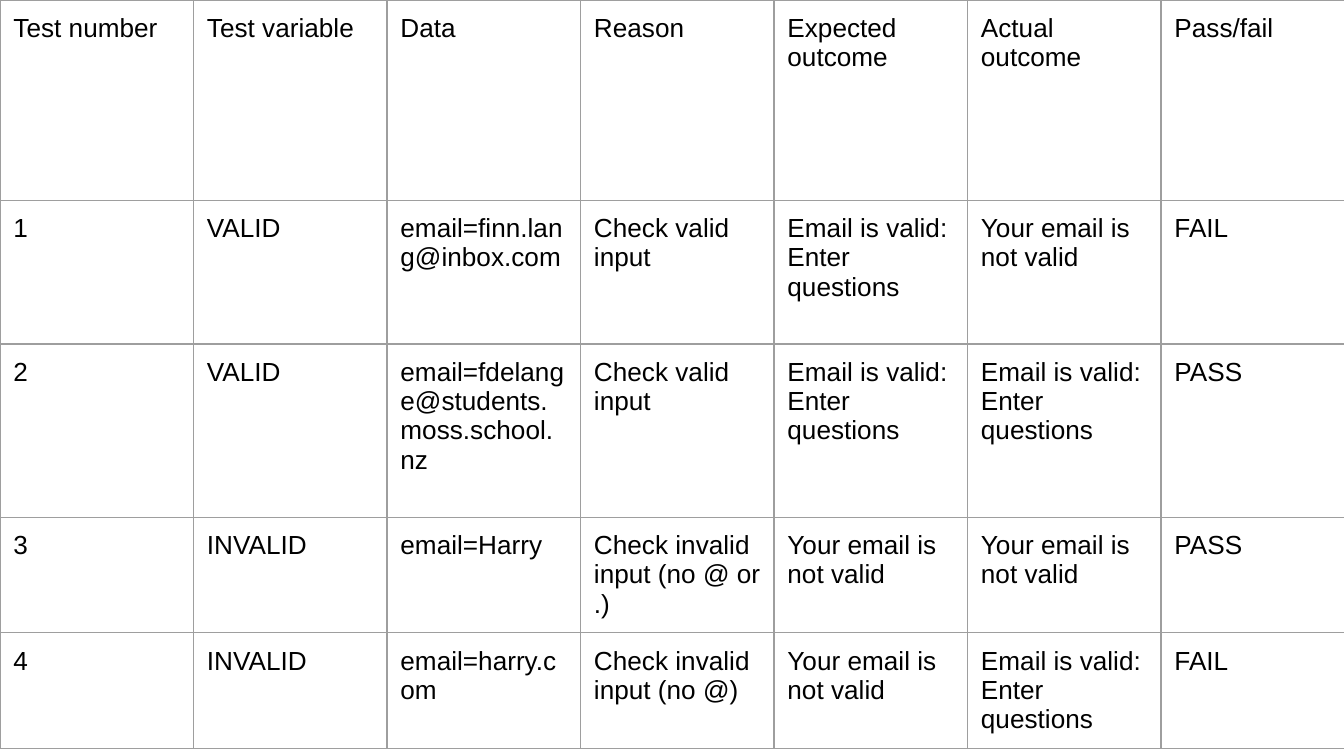
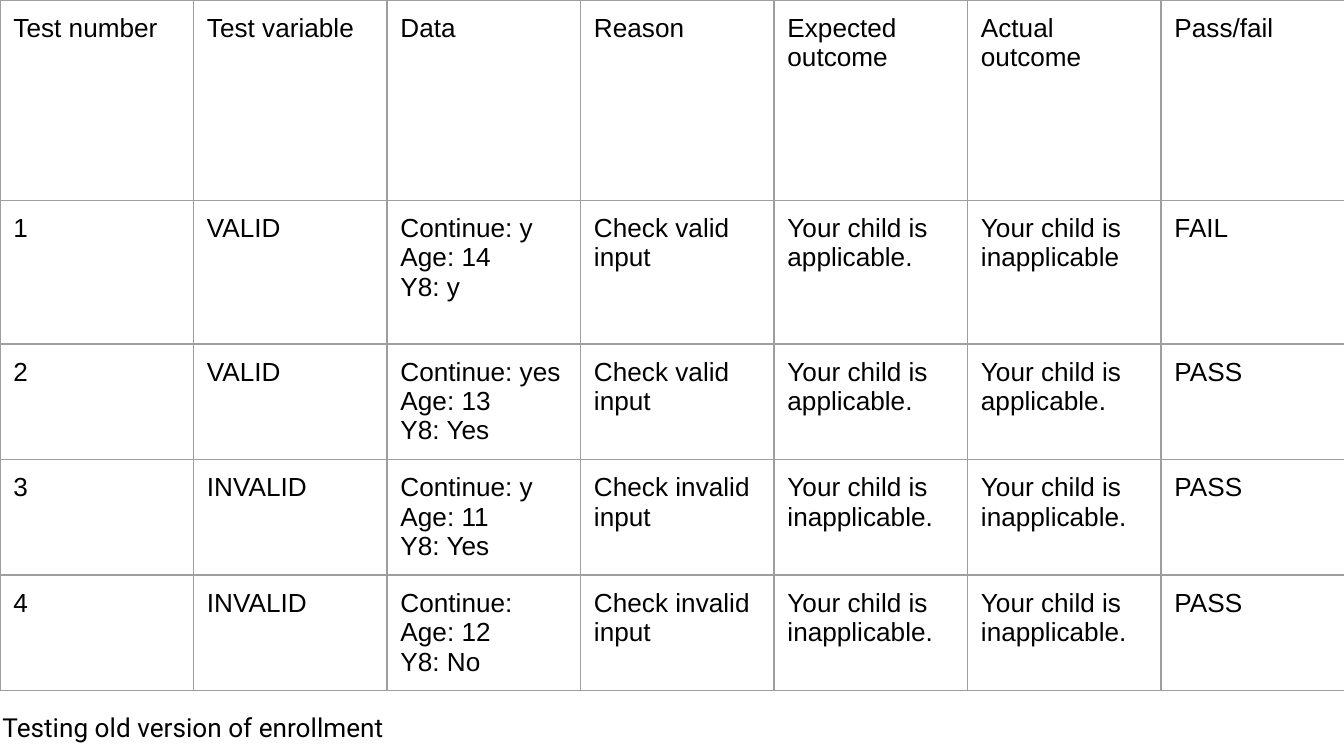
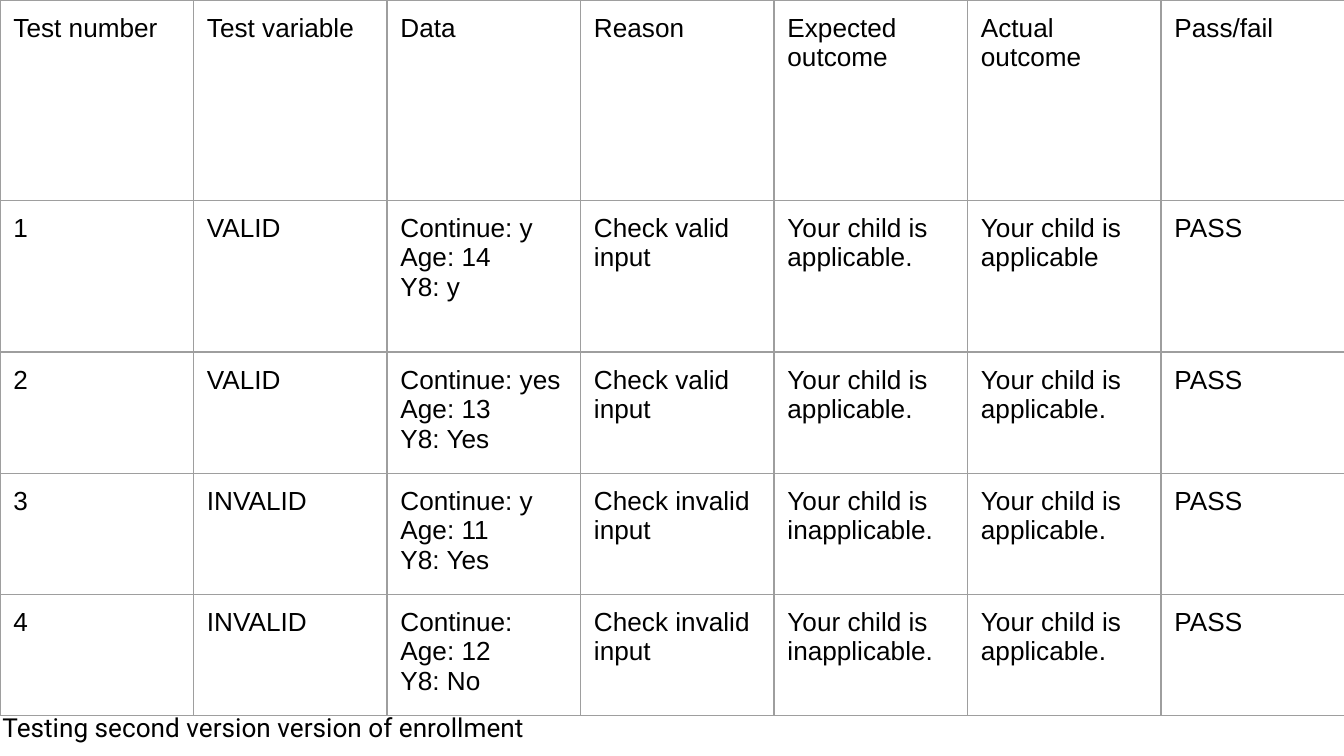
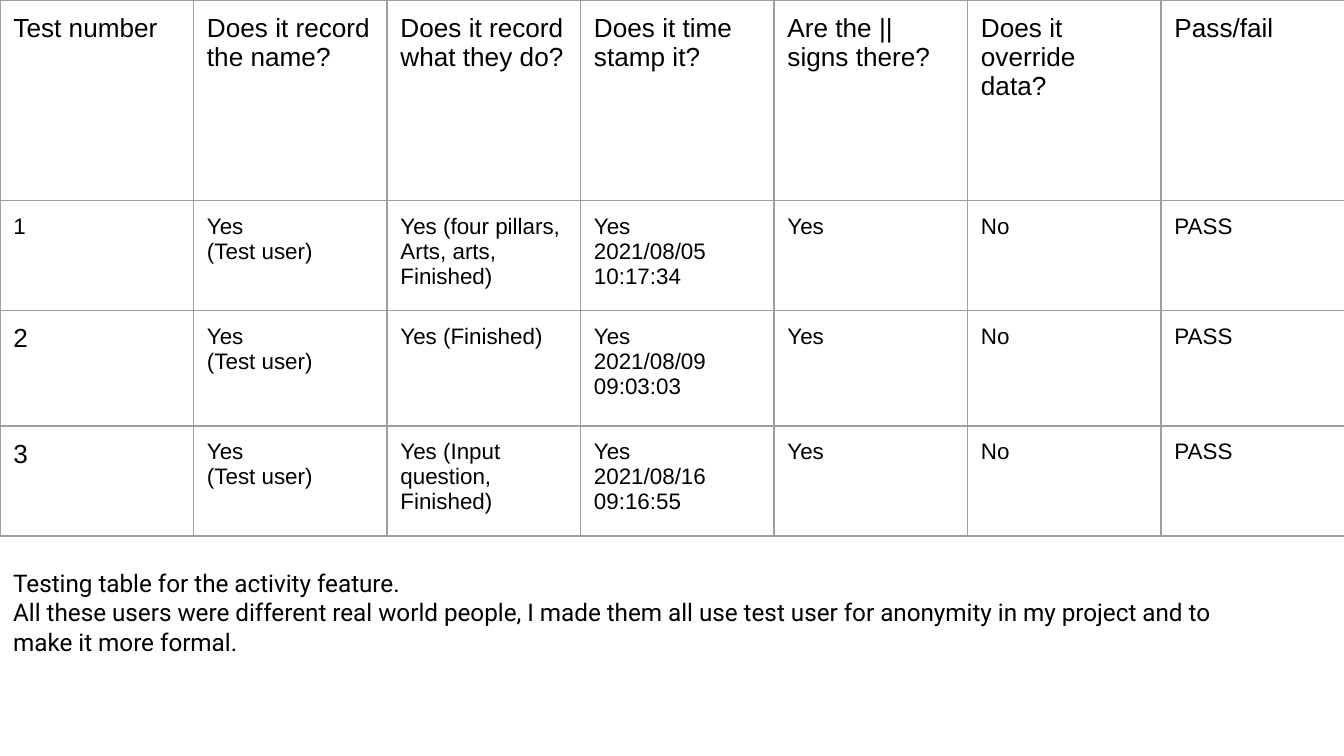
from lxml.etree import SubElement
from pptx import Presentation
from pptx.dml.color import RGBColor
from pptx.enum.text import MSO_AUTO_SIZE as AutoSize
from pptx.oxml.ns import qn
from pptx.util import Inches, Pt

INK, GRID = "000000", "9E9E9E"
TABLE_FONT, NOTE_FONT = "Arial", "Roboto"
COLUMN_WIDTH, HEADER_HEIGHT, INSET = 1.44, 1.49, 0.1

TEST_HEADER = ["Test number", "Test variable", "Data", "Reason",
               "Expected outcome", "Actual outcome", "Pass/fail"]
ACTIVITY_HEADER = ["Test number", "Does it record the name?",
                   "Does it record what they do?", "Does it time stamp it?",
                   "Are the || signs there?", "Does it override data?", "Pass/fail"]

EMAIL_OK = "Email is valid:\nEnter questions"
EMAIL_BAD = "Your email is not valid"
EMAIL_TESTS = [
    ["1", "VALID", "email=finn.lang@inbox.com", "Check valid input",
     EMAIL_OK, EMAIL_BAD, "FAIL"],
    ["2", "VALID", "email=fdelange@students.moss.school.nz", "Check valid input",
     EMAIL_OK, EMAIL_OK, "PASS"],
    ["3", "INVALID", "email=Harry", "Check invalid input (no @ or .)",
     EMAIL_BAD, EMAIL_BAD, "PASS"],
    ["4", "INVALID", "email=harry.com", "Check invalid input (no @)",
     EMAIL_BAD, EMAIL_OK, "FAIL"],
]

CHILD_OK = "Your child is applicable."
CHILD_BAD = "Your child is inapplicable."
ENROLLMENT_INPUTS = [
    ["1", "VALID", "Continue: y\nAge: 14\nY8: y", "Check valid input", CHILD_OK],
    ["2", "VALID", "Continue: yes\nAge: 13\nY8: Yes", "Check valid input", CHILD_OK],
    ["3", "INVALID", "Continue: y\nAge: 11\nY8: Yes", "Check invalid input", CHILD_BAD],
    ["4", "INVALID", "Continue:\nAge: 12\nY8: No", "Check invalid input", CHILD_BAD],
]
OLD_RESULTS = [["Your child is inapplicable", "FAIL"], [CHILD_OK, "PASS"],
               [CHILD_BAD, "PASS"], [CHILD_BAD, "PASS"]]
SECOND_RESULTS = [["Your child is applicable", "PASS"]] + [[CHILD_OK, "PASS"]] * 3

ACTIVITIES = [
    ("Yes (four pillars, Arts, arts, Finished)", "2021/08/05 10:17:34"),
    ("Yes (Finished)", "2021/08/09\n09:03:03"),
    ("Yes (Input question, Finished)", "2021/08/16\n09:16:55"),
]
ACTIVITY_TESTS = [
    [str(number), "Yes\n(Test user)", action, f"Yes\n{stamp}", "Yes", "No", "PASS"]
    for number, (action, stamp) in enumerate(ACTIVITIES, 1)
]
ACTIVITY_NOTE = (
    "Testing table for the activity feature.\n"
    "All these users were different real world people, I made them all use "
    "test user for anonymity in my project and to make it more formal."
)


def color(hex_string):
    return RGBColor.from_string(hex_string)


def write(frame, text, font, size):
    frame.text = text
    frame.word_wrap = True
    for paragraph in frame.paragraphs:
        for run in paragraph.runs:
            run.font.name = font
            run.font.size = Pt(size)
            run.font.color.rgb = color(INK)


def set_insets(box):
    box.margin_left = box.margin_right = Inches(INSET)
    box.margin_top = box.margin_bottom = Inches(INSET)


def outline(cell):
    properties = cell._tc.get_or_add_tcPr()
    for side in ("lnL", "lnR", "lnT", "lnB"):
        line = SubElement(properties, qn(f"a:{side}"), w=str(Pt(0.75)))
        fill = SubElement(line, qn("a:solidFill"))
        SubElement(fill, qn("a:srgbClr"), val=GRID)


def add_test_table(slide, header, tests, heights, size_of=lambda row, column: 14):
    """Fill the top of the slide; size_of gives the text size of a cell."""
    rows = [header] + tests
    row_heights = [HEADER_HEIGHT] + heights
    table = slide.shapes.add_table(
        len(rows), len(header), 0, 0,
        Inches(COLUMN_WIDTH * len(header)), Inches(sum(row_heights))).table
    table.first_row = table.horz_banding = False
    for column in table.columns:
        column.width = Inches(COLUMN_WIDTH)
    for r, (texts, height) in enumerate(zip(rows, row_heights)):
        table.rows[r].height = Inches(height)
        for c, text in enumerate(texts):
            cell = table.cell(r, c)
            set_insets(cell)
            outline(cell)
            cell.fill.background()
            write(cell.text_frame, text, TABLE_FONT, size_of(r, c))


def add_note(slide, text, left, top, height, size):
    note = slide.shapes.add_textbox(
        Inches(left), Inches(top), Inches(9.44), Inches(height)).text_frame
    set_insets(note)
    write(note, text, NOTE_FONT, size)
    note.auto_size = AutoSize.SHAPE_TO_FIT_TEXT


def enrollment_slide(slide, results, heights, note):
    tests = [inputs + result for inputs, result in zip(ENROLLMENT_INPUTS, results)]
    add_test_table(slide, TEST_HEADER, tests, heights)
    add_note(slide, note, -0.08, 5.19, 0.44, 14)


def activity_size(row, column):
    """Header and the later test numbers are larger than the results."""
    return 14 if row == 0 or (column == 0 and row > 1) else 12


def main():
    deck = Presentation()
    deck.slide_width = Inches(10)
    deck.slide_height = Inches(10 * 9 / 16)
    blank = deck.slide_layouts[6]
    email, old, second, activity = [deck.slides.add_slide(blank) for _ in range(4)]

    add_test_table(email, TEST_HEADER, EMAIL_TESTS, [1.07, 1.29, 0.86, 0.86])
    enrollment_slide(old, OLD_RESULTS, [1.07] + [0.86] * 3,
                     "Testing old version of enrollment")
    enrollment_slide(second, SECOND_RESULTS, [1.13] + [0.9] * 3,
                     "Testing second version version of enrollment")
    add_test_table(activity, ACTIVITY_HEADER, ACTIVITY_TESTS,
                   [0.82, 0.86, 0.82], activity_size)
    add_note(activity, ACTIVITY_NOTE, 0, 4.13, 0.86, 13)

    deck.save("out.pptx")


if __name__ == "__main__":
    main()
